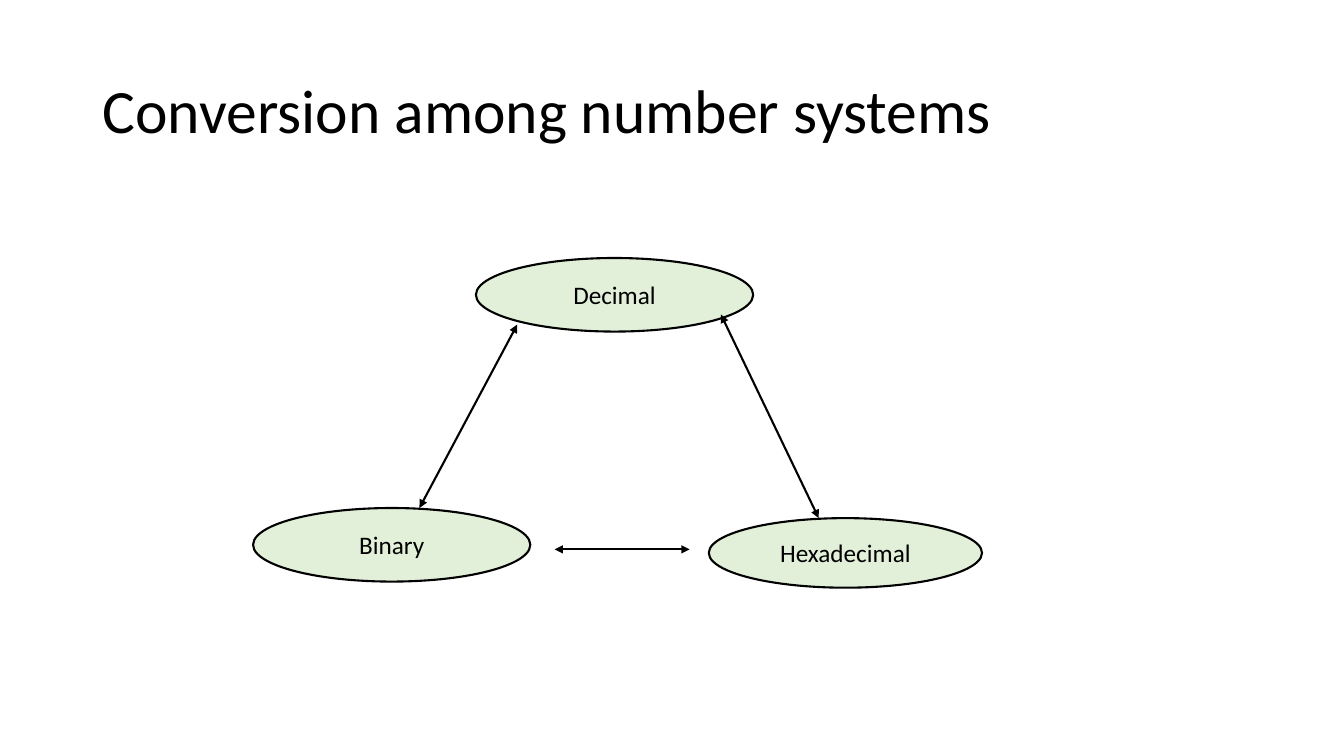
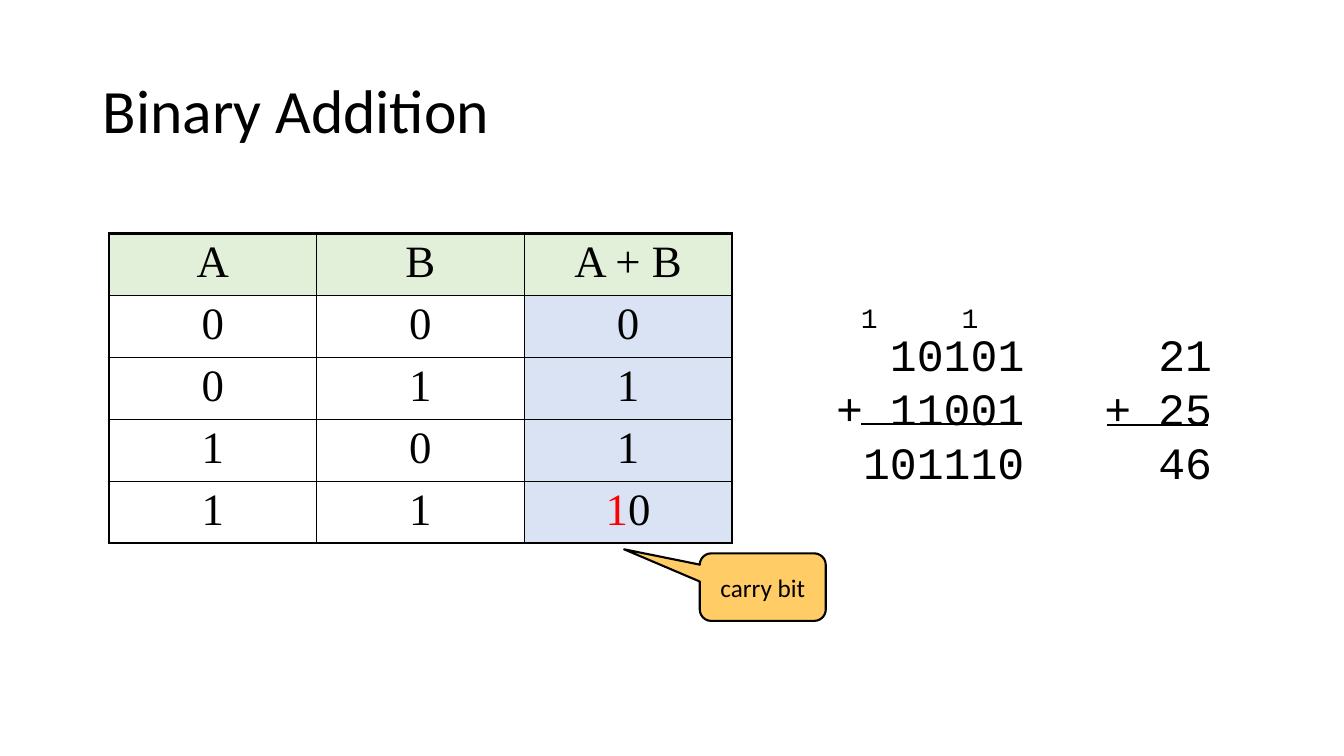
from dataclasses import dataclass

from lxml.etree import SubElement
from pptx import Presentation
from pptx.dml.color import RGBColor
from pptx.enum.shapes import MSO_CONNECTOR, MSO_SHAPE
from pptx.enum.text import MSO_ANCHOR, PP_ALIGN
from pptx.oxml.ns import qn
from pptx.util import Inches, Pt


@dataclass(frozen=True)
class Theme:
    ink: str = "000000"
    green: str = "E2F0D9"
    blue: str = "DAE3F3"
    amber: str = "FFCC66"
    carry: str = "FF0000"
    sans: str = "Calibri"
    serif: str = "Times New Roman"
    mono: str = "Courier New"
    title_size: int = 44
    digit_size: int = 32
    carry_size: int = 20
    label_size: int = 18
    line_width: float = 1.5
    outer_border: float = 2.25
    inner_border: float = 1
    sum_pitch: float = 38.5


THEME = Theme()

CONVERSION_TITLE = "Conversion among number systems"
NUMBER_SYSTEMS = [
    ("Hexadecimal", (7.03, 5.14, 2.71, 0.69)),
    ("Decimal", (4.72, 2.56, 2.75, 0.73)),
    ("Binary", (2.51, 5.04, 2.75, 0.73)),
]
CONVERSIONS = [
    ((8.12, 5.14), (7.15, 3.12)),
    ((4.16, 5.04), (5.13, 3.22)),
    ((5.5, 5.45), (6.84, 5.45)),
]

ADDITION_TITLE = "Binary Addition"
ADDITION_TABLE = [
    ["A", "B", "A + B"],
    ["0", "0", "0"],
    ["0", "1", "1"],
    ["1", "0", "1"],
    ["1", "1", "10"],
]
TABLE_LEFT, TABLE_TOP, COLUMN_WIDTH, ROW_HEIGHT = 1.08, 2.32, 2.06, 0.59
CALLOUT = ("carry bit", (6.94, 5.49, 1.25, 0.67), (-1.1, -0.56, 0.17))
SUMS = [
    (["10101", "+ 11001", "101110"], (8.19, 3.19, 2.07, 1.72)),
    (["21", "+ 25", "46"], (10.8, 3.19, 1.32, 1.72)),
]
SUM_RULES = [((8.54, 4.21), (10.12, 4.21)), ((10.98, 4.22), (11.98, 4.22))]
CARRIES = [("1", (8.44, 2.93, 0.37, 0.44)), ("1", (9.44, 2.93, 0.37, 0.44))]


def inches(values):
    return [Inches(value) for value in values]


def color(value):
    return RGBColor.from_string(value)


def style_run(run, font, size, ink=THEME.ink):
    run.font.name = font
    run.font.size = Pt(size)
    run.font.color.rgb = color(ink)


def set_lines(text_frame, lines, font, size, align=PP_ALIGN.LEFT, spacing=None):
    text_frame.text = "\n".join(lines)
    for paragraph in text_frame.paragraphs:
        paragraph.alignment = align
        paragraph.line_spacing = spacing
        for run in paragraph.runs:
            style_run(run, font, size)


def add_text(slide, lines, box, font, size, wrap=True, **layout):
    text_frame = slide.shapes.add_textbox(*inches(box)).text_frame
    text_frame.word_wrap = wrap
    set_lines(text_frame, lines, font, size, **layout)
    return text_frame


def add_titled_slide(presentation, title):
    slide = presentation.slides.add_slide(presentation.slide_layouts[6])
    text_frame = add_text(slide, [title], (0.92, 0.4, 11.5, 1.45),
                          THEME.sans, THEME.title_size, spacing=0.9)
    text_frame.vertical_anchor = MSO_ANCHOR.MIDDLE
    return slide


def add_label_shape(slide, preset, label, box, fill, wrap):
    shape = slide.shapes.add_shape(preset, *inches(box))
    shape.shadow.inherit = False
    shape.fill.solid()
    shape.fill.fore_color.rgb = color(fill)
    shape.line.color.rgb = color(THEME.ink)
    shape.line.width = Pt(THEME.line_width)
    shape.text_frame.word_wrap = wrap
    shape.text_frame.vertical_anchor = MSO_ANCHOR.MIDDLE
    set_lines(shape.text_frame, [label], THEME.sans, THEME.label_size, PP_ALIGN.CENTER)
    return shape


def add_line(slide, start, end, arrows=False):
    connector = slide.shapes.add_connector(
        MSO_CONNECTOR.STRAIGHT, *inches(start), *inches(end))
    connector.line.color.rgb = color(THEME.ink)
    connector.line.width = Pt(THEME.line_width)
    properties = connector._element.spPr
    if arrows:
        for tag in ("a:headEnd", "a:tailEnd"):
            SubElement(properties.find(qn("a:ln")), qn(tag), type="triangle")
    SubElement(properties, qn("a:effectLst"))


def set_borders(cell, widths):
    properties = cell._tc.get_or_add_tcPr()
    for side, width in widths.items():
        border = SubElement(properties, qn(f"a:ln{side}"), w=str(Pt(width)))
        fill = SubElement(border, qn("a:solidFill"))
        SubElement(fill, qn("a:srgbClr"), val=THEME.ink)


def add_addition_table(slide):
    row_count, column_count = len(ADDITION_TABLE), len(ADDITION_TABLE[0])
    table = slide.shapes.add_table(
        row_count, column_count,
        *inches((TABLE_LEFT, TABLE_TOP, COLUMN_WIDTH * column_count,
                 ROW_HEIGHT * row_count))).table
    table.first_row = table.horz_banding = False
    for column in table.columns:
        column.width = Inches(COLUMN_WIDTH)
    for row in table.rows:
        row.height = Inches(ROW_HEIGHT)
    for row, values in enumerate(ADDITION_TABLE):
        for column, value in enumerate(values):
            cell = table.cell(row, column)
            last_column = column == column_count - 1
            edges = {"L": column == 0, "R": last_column,
                     "T": row == 0, "B": row == row_count - 1}
            set_borders(cell, {
                side: THEME.outer_border if outer else THEME.inner_border
                for side, outer in edges.items()})
            if row == 0 or last_column:
                cell.fill.solid()
                cell.fill.fore_color.rgb = color(THEME.blue if row else THEME.green)
            else:
                cell.fill.background()
            cell.margin_top = cell.margin_bottom = Inches(0.04)
            set_lines(cell.text_frame, [value], THEME.serif, THEME.digit_size,
                      PP_ALIGN.CENTER)
    paragraph = table.cell(row_count - 1, column_count - 1).text_frame.paragraphs[0]
    carry, digit = paragraph.runs[0], paragraph.add_run()
    carry.text, digit.text = ADDITION_TABLE[-1][-1]
    style_run(carry, THEME.serif, THEME.digit_size, THEME.carry)
    style_run(digit, THEME.serif, THEME.digit_size)


def build_conversion_slide(presentation):
    slide = add_titled_slide(presentation, CONVERSION_TITLE)
    for label, box in NUMBER_SYSTEMS:
        add_label_shape(slide, MSO_SHAPE.OVAL, label, box, THEME.green, wrap=False)
    for start, end in CONVERSIONS:
        add_line(slide, start, end, arrows=True)


def build_addition_slide(presentation):
    slide = add_titled_slide(presentation, ADDITION_TITLE)
    add_addition_table(slide)
    label, box, adjustments = CALLOUT
    callout = add_label_shape(slide, MSO_SHAPE.ROUNDED_RECTANGULAR_CALLOUT, label,
                              box, THEME.amber, wrap=True)
    for index, value in enumerate(adjustments):
        callout.adjustments[index] = value
    for lines, box in SUMS:
        add_text(slide, lines, box, THEME.mono, THEME.digit_size,
                 align=PP_ALIGN.RIGHT, spacing=Pt(THEME.sum_pitch))
    for start, end in SUM_RULES:
        add_line(slide, start, end)
    for digit, box in CARRIES:
        add_text(slide, [digit], box, THEME.mono, THEME.carry_size, wrap=False)


def main():
    presentation = Presentation()
    presentation.slide_width = Inches(13.33)
    presentation.slide_height = Inches(7.5)
    build_conversion_slide(presentation)
    build_addition_slide(presentation)
    presentation.save("out.pptx")


if __name__ == "__main__":
    main()
